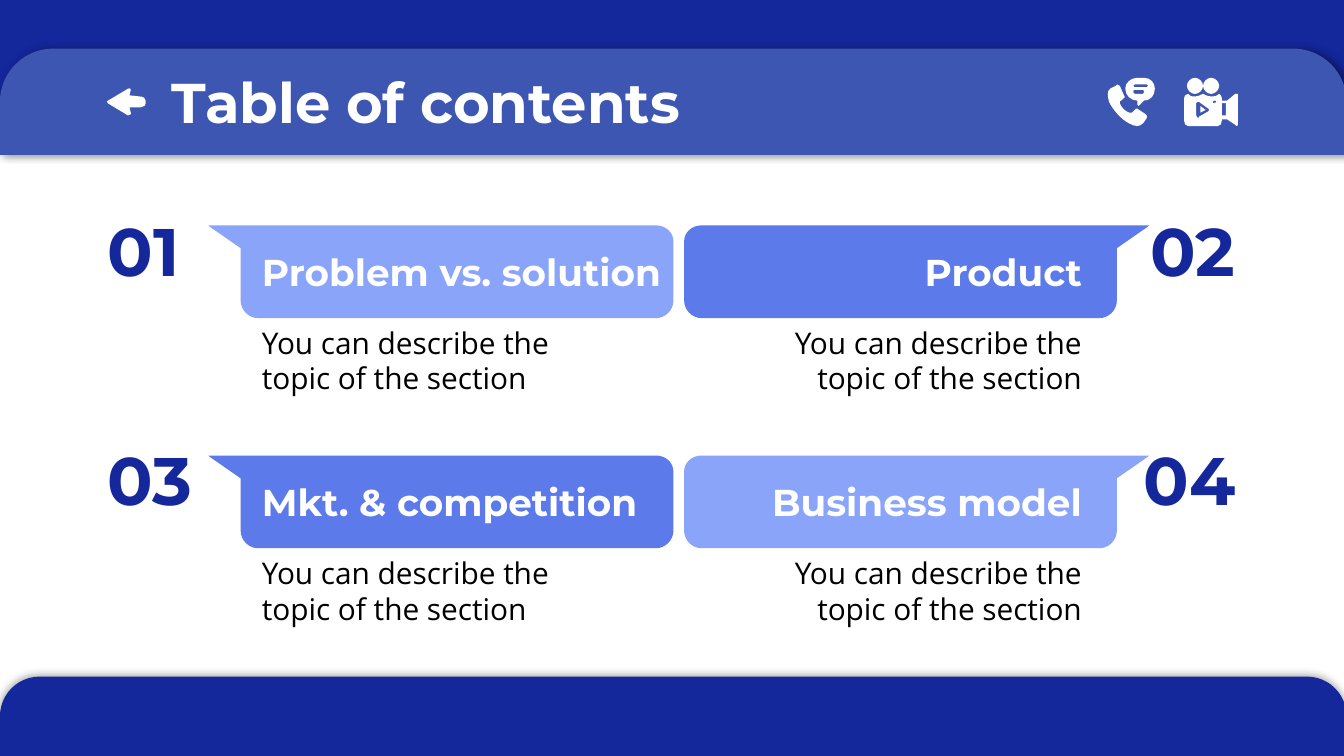
from lxml import etree
from pptx import Presentation
from pptx.dml.color import RGBColor
from pptx.enum.shapes import MSO_SHAPE
from pptx.enum.text import MSO_ANCHOR, PP_ALIGN
from pptx.oxml.ns import qn
from pptx.util import Cm, Pt

RECT = MSO_SHAPE.RECTANGLE
ROUND_TOP = MSO_SHAPE.ROUND_2_SAME_RECTANGLE
TOP, BOTTOM = MSO_ANCHOR.TOP, MSO_ANCHOR.BOTTOM
LEFT, RIGHT = PP_ALIGN.LEFT, PP_ALIGN.RIGHT

NAVY, HEADER, WHITE, BLACK = "14279B", "3D56B2", "FFFFFF", "000000"
LIGHT, MEDIUM = "8AA4F9", "5C7AEA"
HEAD_FONT, BODY_FONT = "Montserrat", "Open Sans"
UNIT = Cm(0.0254)  # grid step of the outlines below
ROW_STEP, NUMBER_STEP = 4.35, 4.32

# Outlines: a pair is a corner, six numbers are a Bezier curve.
BANNER_WIDTH = 346
BANNER = [[(1, 0), (1, 0, 0, 0, 0, 0), (0, 1, 0, 1, 1, 1), (24, 17), (24, 56),
           (24, 63, 30, 69, 37, 69), (333, 69), (340, 69, 346, 63, 346, 56),
           (346, 12), (346, 5, 340, 0, 333, 0)]]
BACK_ARROW = [[(0, 10), (-1, 10, -1, 11, 0, 12), (15, 21), (16, 21, 16, 21, 17, 20),
               (17, 20, 17, 20, 17, 19), (16, 15), (20, 15), (24, 15),
               (25, 15, 26, 15, 27, 14), (27, 14, 28, 13, 28, 12), (28, 10),
               (28, 8, 26, 7, 25, 7), (16, 6), (17, 2), (17, 1, 16, 0, 15, 1),
               (0, 10), (0, 10, 0, 10, 0, 10)]]
HANDSET = [[(8, 5), (7, 5, 7, 5, 7, 6), (3, 8), (0, 10, 1, 14, 2, 18),
            (5, 24, 11, 31, 17, 34), (19, 35, 21, 36, 23, 36), (25, 36, 26, 35, 28, 33),
            (30, 30), (31, 29, 30, 28, 29, 27), (23, 23), (23, 23, 23, 23, 22, 23),
            (22, 23, 21, 23, 21, 24), (19, 26), (19, 26, 18, 26, 18, 26),
            (17, 26, 17, 26, 17, 26), (14, 25, 11, 22, 10, 19), (10, 18, 10, 17, 11, 17),
            (13, 15), (14, 15, 14, 14, 13, 13), (10, 6), (9, 6, 9, 5, 8, 5)]]
SPEECH_BUBBLE = [
    [(30, 5), (31, 5, 31, 6, 31, 6), (31, 7, 31, 7, 30, 7), (21, 7),
     (20, 7, 20, 7, 20, 6), (20, 6, 20, 5, 21, 5)],
    [(27, 9), (28, 9, 28, 10, 28, 11), (28, 11, 28, 12, 27, 12), (21, 12),
     (20, 12, 20, 11, 20, 11), (20, 10, 20, 9, 21, 9)],
    [(23, 0), (18, 0, 14, 4, 14, 8), (14, 13, 18, 17, 23, 17), (23, 20),
     (23, 20, 23, 21, 24, 21), (24, 21, 24, 21, 24, 21), (28, 17), (28, 17),
     (33, 17, 36, 13, 36, 8), (36, 4, 33, 0, 28, 0)]]
CAMERA_BODY = [
    [(22, 17), (23, 17, 24, 17, 24, 18), (24, 18, 23, 19, 22, 19), (21, 19, 21, 18, 22, 17),
     (22, 17, 22, 17, 22, 17)],
    [(31, 19), (31, 28), (28, 28), (28, 19)],
    [(11, 18), (11, 18, 11, 18, 11, 18), (18, 23), (19, 23, 19, 24, 18, 25), (11, 29),
     (11, 30, 11, 30, 11, 30), (10, 30, 9, 29, 9, 28), (9, 19), (9, 18, 10, 18, 11, 18)],
    [(39, 12), (39, 12, 39, 12, 38, 12), (32, 17), (28, 17), (28, 15),
     (28, 14, 27, 12, 26, 12), (24, 14, 22, 14, 20, 14), (18, 14, 16, 13, 14, 12), (14, 12),
     (12, 13, 10, 14, 8, 14), (6, 14, 4, 14, 3, 12), (1, 12, 0, 14, 0, 15), (0, 32),
     (0, 34, 1, 36, 3, 36), (25, 36), (27, 36, 28, 34, 28, 32), (28, 31), (32, 31),
     (38, 35), (39, 35, 39, 36, 39, 36), (40, 36, 40, 35, 40, 34), (40, 13),
     (40, 13, 40, 12, 40, 12), (39, 12, 39, 12, 39, 12)]]
PLAY_MARK = [[(12, 21), (12, 26), (16, 24), (12, 21)]]
REELS = [[[(x, 0), (x - 3, 0, x - 6, 3, x - 6, 6), (x - 6, 9, x - 3, 12, x, 12),
           (x + 3, 12, x + 6, 9, x + 6, 6), (x + 6, 3, x + 3, 0, x, 0)]] for x in (8, 20)]


def rgb(color):
    return RGBColor.from_string(color)


def paint(sp, color):
    sp.shadow.inherit = False
    sp.fill.solid()
    sp.fill.fore_color.rgb = rgb(color)
    sp.line.fill.background()


def add_band(slide, shape, top, height, color):
    sp = slide.shapes.add_shape(shape, 0, Cm(top), Cm(25.45), Cm(height))
    paint(sp, color)
    if shape == ROUND_TOP:
        sp.adjustments[0], sp.adjustments[1] = 0.5, 0
    return sp


def add_shadow(sp, alpha, degrees):
    effects = sp._element.spPr.find(qn("a:effectLst"))
    shadow = etree.SubElement(effects, qn("a:outerShdw"), blurRad=str(Pt(4.5)),
                              dist=str(Pt(1.5)), dir=str(degrees * 60000),
                              algn="bl", rotWithShape="0")
    clr = etree.SubElement(shadow, qn("a:srgbClr"), val=BLACK)
    etree.SubElement(clr, qn("a:alpha"), val=str(alpha * 1000))


def bend_curves(sp, contours):
    """Join the three line segments of each six-number step into one Bezier curve."""
    outline = sp._element.find(".//" + qn("a:path"))
    segments = iter(list(outline))
    for contour in contours:
        for step in contour:
            segment = next(segments)
            if len(step) == 6:
                segment.tag = qn("a:cubicBezTo")
                for _ in range(2):
                    extra = next(segments)
                    segment.append(extra[0])
                    outline.remove(extra)
        next(segments)  # the close element


def add_outline(shapes, contours, left, top, color, mirror_width=None):
    """Draw all contours as one shape, inner ones as holes."""
    builder = None
    for contour in contours:
        points = [(Cm(left) + UNIT * (x if mirror_width is None else mirror_width - x),
                   Cm(top) + UNIT * y)
                  for step in contour for x, y in zip(step[::2], step[1::2])]
        if builder is None:
            builder = shapes.build_freeform(*points[0], scale=1.0)
        else:
            builder.move_to(*points[0])
        builder.add_line_segments(points[1:], close=True)
    sp = builder.convert_to_shape()
    bend_curves(sp, contours)
    paint(sp, color)


def add_icon(slide, parts, left, top):
    group = slide.shapes.add_group_shape()
    for part in parts:
        add_outline(group.shapes, part, left, top, WHITE)


def add_text(slide, text, box, size, color, font=HEAD_FONT, align=LEFT, anchor=TOP):
    sp = slide.shapes.add_textbox(*(Cm(v) for v in box))
    tf = sp.text_frame
    tf.word_wrap = True
    tf.vertical_anchor = anchor
    tf.margin_left = tf.margin_right = tf.margin_top = tf.margin_bottom = Cm(0.25)
    tf.text = text
    p = tf.paragraphs[0]
    p.alignment = align
    r = p.runs[0]
    r.font.name, r.font.size = font, Pt(size)
    r.font.bold = font == HEAD_FONT
    r.font.color.rgb = rgb(color)


def add_section(slide, index, heading, color):
    """Place one numbered section in the two-by-two grid."""
    row, col = divmod(index, 2)
    y = row * ROW_STEP
    align = RIGHT if col else LEFT
    add_outline(slide.shapes, BANNER, (3.94, 12.93)[col], 4.26 + y, color,
                BANNER_WIDTH if col else None)
    add_text(slide, f"{index + 1:02}",
             ((1.79, 20.2)[col], 3.81 + row * NUMBER_STEP, 3.4, 1.93),
             36, NAVY, align=align, anchor=BOTTOM)
    add_text(slide, heading, ((4.7, 12.57)[col], 4.46 + y, 8.13, 1.19),
             20, WHITE, align=align)
    add_text(slide, "You can describe the topic of the section",
             ((4.7, 13.44)[col], 5.88 + y, 7.26, 2.01), 16, BLACK, BODY_FONT, align)


def main():
    prs = Presentation()
    prs.slide_width, prs.slide_height = Cm(25.4), Cm(14.29)
    slide = prs.slides.add_slide(prs.slide_layouts[6])

    add_shadow(add_band(slide, ROUND_TOP, 12.79, 1.5, NAVY), 32, 237)
    add_band(slide, RECT, -0.03, 2.59, NAVY)
    add_shadow(add_band(slide, ROUND_TOP, 0.92, 2.01, HEADER), 50, 0)

    add_text(slide, "Table of contents", (3, 1.02, 20.4, 1.6), 30, WHITE)
    add_outline(slide.shapes, BACK_ARROW, 2.04, 1.65, WHITE)
    add_icon(slide, [HANDSET, SPEECH_BUBBLE], 20.91, 1.47)
    add_icon(slide, [CAMERA_BODY, PLAY_MARK, *REELS], 22.38, 1.47)

    sections = [("Problem vs. solution", LIGHT), ("Product", MEDIUM),
                ("Mkt. & competition", MEDIUM), ("Business model", LIGHT)]
    for index, (heading, color) in enumerate(sections):
        add_section(slide, index, heading, color)

    prs.save("out.pptx")


if __name__ == "__main__":
    main()
